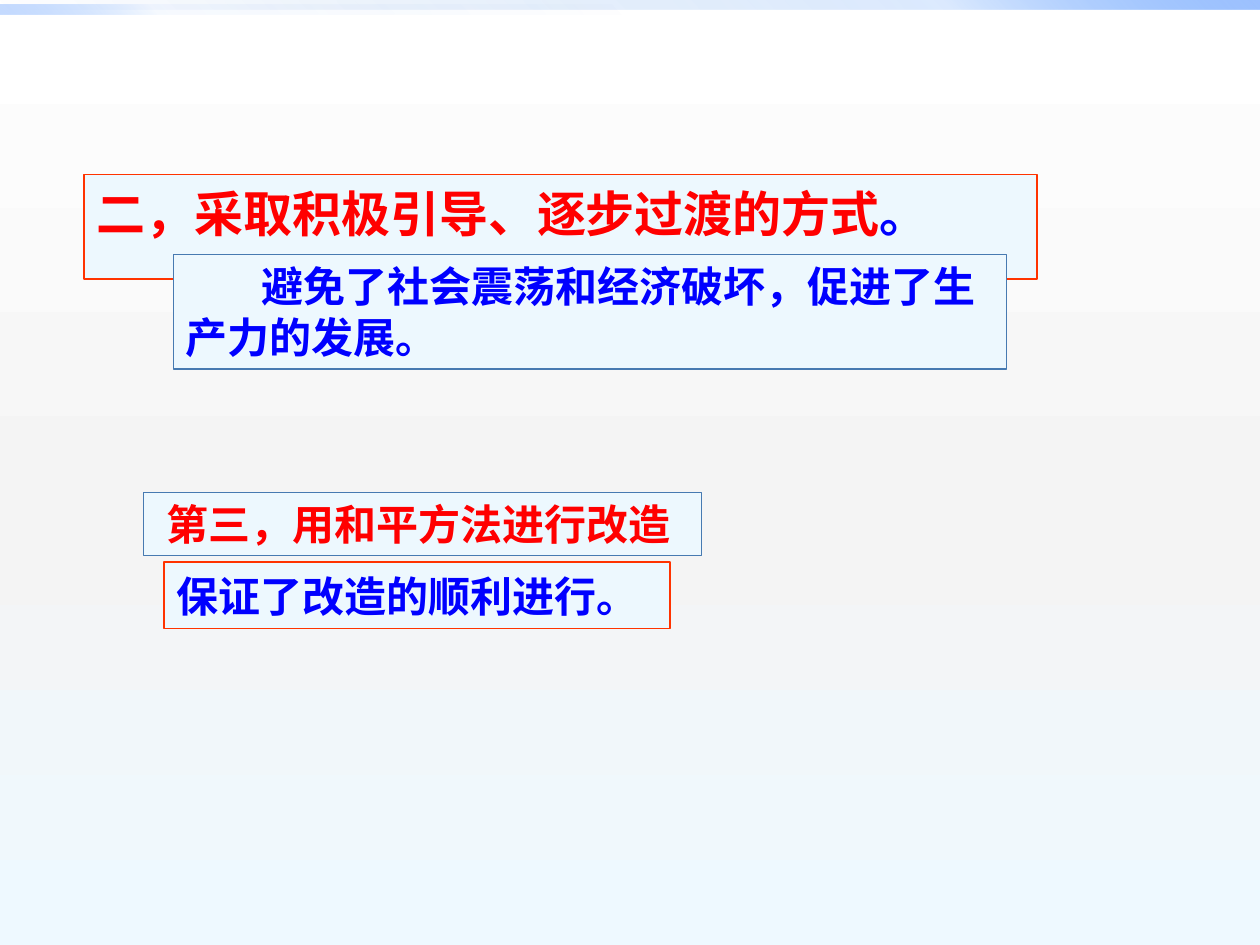
from pptx import Presentation
from pptx.dml.color import RGBColor as RGB
from pptx.enum.shapes import MSO_SHAPE as Shape
from pptx.enum.text import MSO_ANCHOR as Anchor
from pptx.oxml.ns import qn
from pptx.util import Cm, Pt
from lxml.etree import SubElement as Sub

WHITE = RGB(0xFF, 0xFF, 0xFF)
GREY = RGB(0xF4, 0xF4, 0xF4)
ICE = RGB(0xEE, 0xF9, 0xFF)
PALE = RGB(0xED, 0xF8, 0xFE)
NAVY = RGB(0x00, 0x58, 0xB7)
AZURE = RGB(0x4F, 0x95, 0xFF)
SKY = RGB(0x9E, 0xC2, 0xFF)
STEEL = RGB(0x47, 0x7A, 0xB1)
ORANGE = RGB(0xFF, 0x33, 0x00)
RED = RGB(0xFF, 0x00, 0x00)
BLUE = RGB(0x00, 0x00, 0xFF)


class Deck:
    font = "Times New Roman"

    def __init__(self):
        self.prs = Presentation()
        self.prs.slide_width, self.prs.slide_height = Cm(25.4), Cm(19.05)
        self.slide = self.prs.slides.add_slide(self.prs.slide_layouts[6])

    def blend(self, fill, node, angle, stops):
        fill.gradient()
        fill.gradient_angle = angle
        ramp = node.find(".//" + qn("a:gsLst"))
        for old in list(ramp):
            ramp.remove(old)
        for pos, color, alpha in stops:
            stop = Sub(ramp, qn("a:gs"), pos=str(pos * 1000))
            tint = Sub(stop, qn("a:srgbClr"), val=str(color))
            if alpha < 100:
                Sub(tint, qn("a:alpha"), val=str(alpha * 1000))

    def back(self, angle, stops):
        self.blend(self.slide.background.fill, self.slide.element, angle, stops)

    def bar(self, top, width, angle, stops):
        bar = self.slide.shapes.add_shape(
            Shape.RECTANGLE, Cm(0), Cm(top), Cm(width), Cm(0.2))
        bar.shadow.inherit = False
        bar.line.fill.background()
        self.blend(bar.fill, bar.element, angle, stops)

    def box(self, place, runs, size, edge, weight,
            spacing=1.0, indent=0, inset=0.25, wrap=True):
        box = self.slide.shapes.add_textbox(*map(Cm, place))
        box.fill.solid()
        box.fill.fore_color.rgb = PALE
        box.line.color.rgb = edge
        box.line.width = Pt(weight)
        frame = box.text_frame
        frame.word_wrap = wrap
        frame.vertical_anchor = Anchor.TOP
        frame.margin_left = Cm(inset)
        para = frame.paragraphs[0]
        para.line_spacing = spacing
        if indent:
            para._p.get_or_add_pPr().set("indent", str(Cm(indent)))
        para.font.name = self.font
        para.font.size = Pt(size)
        para.font.bold = True
        for text, color in runs:
            run = para.add_run()
            run.text = text
            run.font.color.rgb = color


def main():
    deck = Deck()
    deck.back(270, [(0, WHITE, 100), (55, GREY, 100), (100, ICE, 100)])
    deck.bar(0, 25.4, 45, [(0, NAVY, 0), (75, AZURE, 20), (100, SKY, 100)])
    deck.bar(0.1, 12.7, 225, [(0, NAVY, 0), (75, AZURE, 5), (100, SKY, 60)])
    deck.box((1.7, 3.52, 19.2, 2.11),
             [("二，采取积极引导、逐步过渡的方式", RED), ("。", BLUE)],
             28, ORANGE, 1, spacing=1.05)
    deck.box((3.3, 11.33, 10.21, 1.34), [("保证了改造的顺利进行。", BLUE)],
             24, ORANGE, 1, spacing=1.05)
    deck.box((3.5, 5.13, 16.79, 2.31),
             [("避免了社会震荡和经济破坏，促进了生产力的发展。", BLUE)],
             24, STEEL, 0.75, indent=1.53)
    deck.box((2.9, 9.93, 11.25, 1.27), [("第三，用和平方法进行改造", RED)],
             24, STEEL, 0.75, inset=0.46, wrap=False)
    deck.prs.save("out.pptx")


if __name__ == "__main__":
    main()
